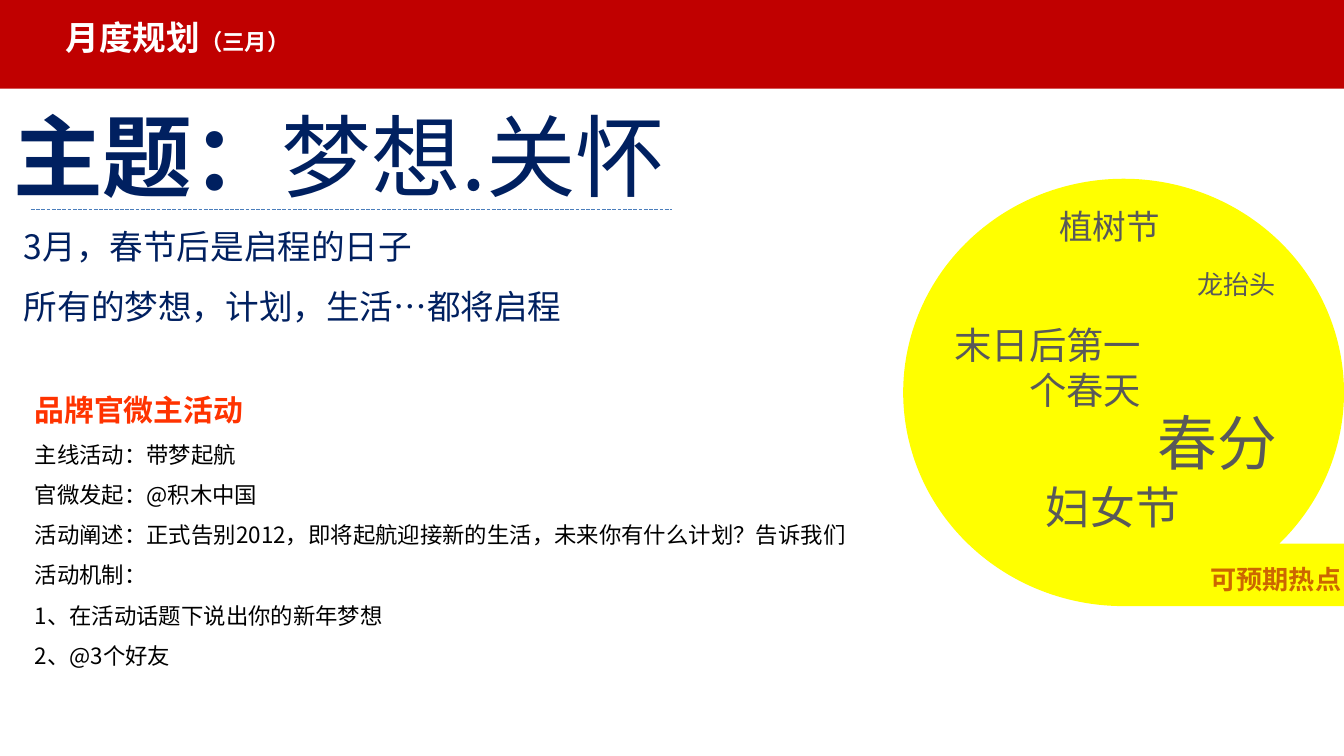
from lxml.etree import SubElement
from pptx import Presentation
from pptx.dml.color import RGBColor
from pptx.enum.dml import MSO_LINE
from pptx.enum.shapes import MSO_CONNECTOR, MSO_SHAPE
from pptx.enum.text import MSO_AUTO_SIZE, PP_ALIGN
from pptx.oxml.ns import qn
from pptx.util import Inches, Pt

FONT = "Noto Sans CJK SC"
WHITE = RGBColor(0xFF, 0xFF, 0xFF)
BLACK = RGBColor(0x00, 0x00, 0x00)
RED = RGBColor(0xC0, 0x00, 0x00)
NAVY = RGBColor(0x00, 0x20, 0x60)
YELLOW = RGBColor(0xFF, 0xFF, 0x00)
BROWN = RGBColor(0xCC, 0x66, 0x00)
ORANGE = RGBColor(0xFF, 0x33, 0x00)
GRAY = RGBColor(0x59, 0x59, 0x59)
BLUE = RGBColor(0x4B, 0x7E, 0xBC)

HEADING = {"size": 18, "color": WHITE, "bold": True}
THEME = {"size": 48, "color": NAVY, "bold": True}
INTRO = {"size": 18, "color": NAVY}
ACTIVITY_TITLE = {"size": 16, "color": ORANGE, "bold": True}
ACTIVITY = {"size": 12, "color": BLACK}
HOTSPOT_LABEL = {"size": 14, "color": BROWN, "bold": True}

heading = [("月度规划", HEADING), ("（三月）", HEADING | {"size": 12})]
theme = [("主题：", THEME), ("梦想.关怀", THEME | {"bold": False})]
intro_lines = ["3月，春节后是启程的日子", "所有的梦想，计划，生活…都将启程"]
activity_title = "品牌官微主活动"
activity_lines = [
    "主线活动：带梦起航",
    "官微发起：@积木中国",
    "活动阐述：正式告别2012，即将起航迎接新的生活，未来你有什么计划？告诉我们",
    "活动机制：",
    "1、在活动话题下说出你的新年梦想",
    "2、@3个好友",
]
hotspots = [
    ("植树节", 18, (6.49, 1.48, 2.24, 0.4)),
    ("末日后第一个春天", 20, (6.97, 2.35, 1.62, 0.77)),
    ("春分", 32, (7.36, 2.97, 2.24, 0.64)),
    ("妇女节", 24, (6.64, 3.52, 2.24, 0.51)),
    ("龙抬头", 14, (7.35, 1.95, 2.24, 0.34)),
]


def add_filled_shape(slide, kind, box, color):
    shape = slide.shapes.add_shape(kind, *map(Inches, box))
    shape.shadow.inherit = False
    shape.fill.solid()
    shape.fill.fore_color.rgb = color
    shape.line.fill.background()


def add_text(slide, box, paragraphs, **paragraph_format):
    frame = slide.shapes.add_textbox(*map(Inches, box)).text_frame
    frame.word_wrap = True
    frame.auto_size = MSO_AUTO_SIZE.SHAPE_TO_FIT_TEXT
    for index, runs in enumerate(paragraphs):
        paragraph = frame.add_paragraph() if index else frame.paragraphs[0]
        for name, value in paragraph_format.items():
            setattr(paragraph, name, value)
        for text, style in runs:
            run = paragraph.add_run()
            run.text = text
            values = {"name": FONT, "size": Pt(style["size"]), "bold": style.get("bold", False)}
            for name, value in values.items():
                setattr(run.font, name, value)
            run.font.color.rgb = style["color"]
            SubElement(run.font._element, qn("a:ea"), typeface=FONT)


def add_divider(slide, left, right, top):
    ends = map(Inches, (left, top, right, top))
    connector = slide.shapes.add_connector(MSO_CONNECTOR.STRAIGHT, *ends)
    connector.line.color.rgb = BLUE
    connector.line.width = Pt(0.25)
    connector.line.dash_style = MSO_LINE.LONG_DASH
    SubElement(connector._element.spPr, qn("a:effectLst"))


def main():
    presentation = Presentation()
    presentation.slide_width = Inches(10)
    presentation.slide_height = presentation.slide_width * 9 // 16
    slide = presentation.slides.add_slide(presentation.slide_layouts[6])

    add_filled_shape(slide, MSO_SHAPE.RECTANGLE, (0, -0.02, 10, 0.68), RED)
    add_text(slide, (0.39, 0.08, 2.27, 0.4), [heading])
    add_text(slide, (0, 0.7, 5.67, 0.91), [theme])
    add_filled_shape(
        slide, MSO_SHAPE.FLOWCHART_SEQUENTIAL_ACCESS_STORAGE, (6.72, 1.33, 3.28, 3.18), YELLOW
    )
    add_text(
        slide, (8.24, 4.14, 1.84, 0.34), [[("可预期热点", HOTSPOT_LABEL)]], alignment=PP_ALIGN.RIGHT
    )
    intro = [[(line, INTRO)] for line in intro_lines]
    add_text(slide, (0.08, 1.48, 4.87, 1.01), intro, line_spacing=1.5)
    add_divider(slide, 0.23, 5, 1.56)
    activity = [[(activity_title, ACTIVITY_TITLE)]] + [[(line, ACTIVITY)] for line in activity_lines]
    add_text(slide, (0.16, 2.73, 8.44, 2.32), activity, line_spacing=1.5)
    for text, size, box in hotspots:
        style = {"size": size, "color": GRAY}
        add_text(slide, box, [[(text, style)]], alignment=PP_ALIGN.RIGHT)

    presentation.save("out.pptx")


if __name__ == "__main__":
    main()
